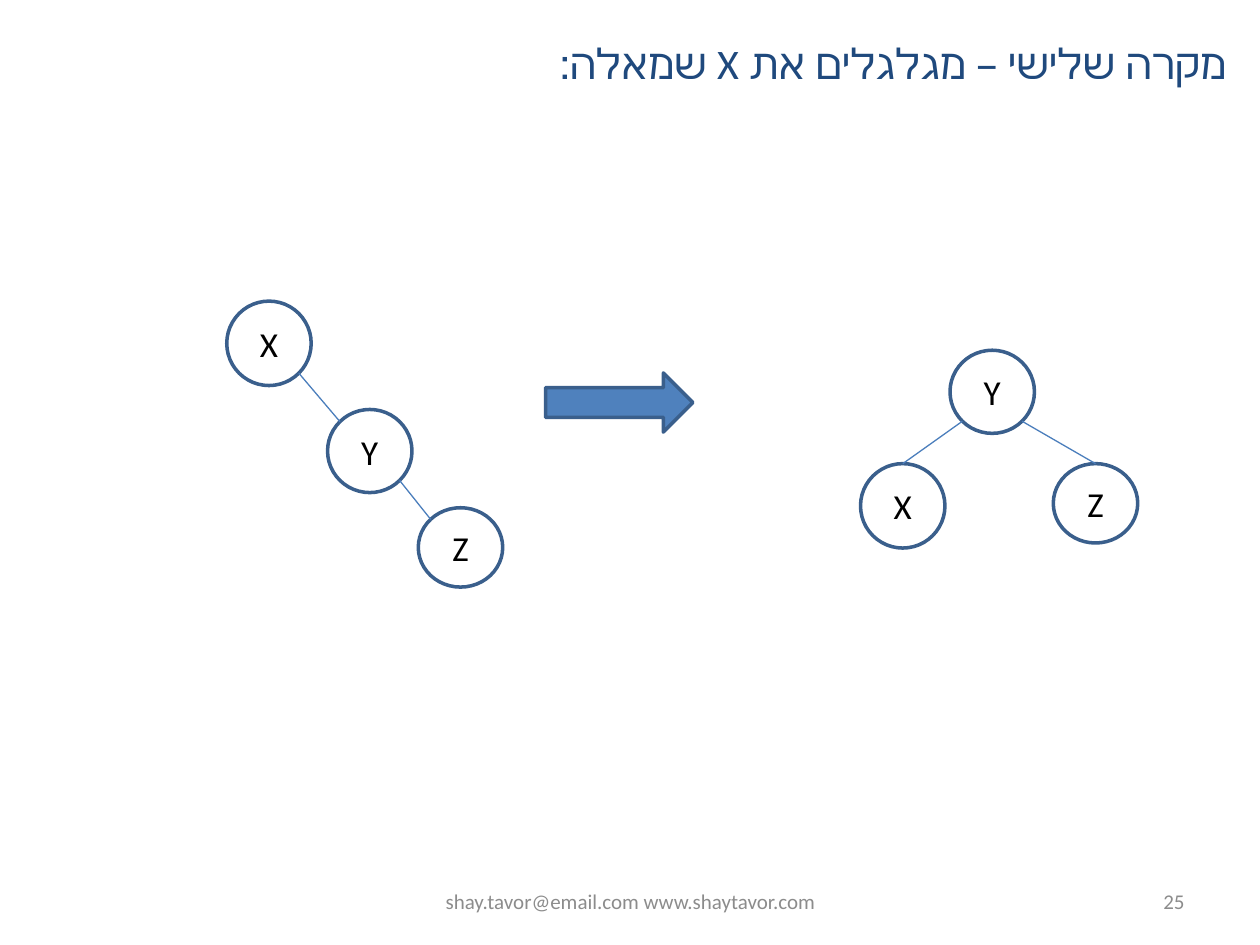
import math

import pptx
import pptx.dml.color
import pptx.enum.shapes
import pptx.enum.text
import pptx.oxml
import pptx.oxml.ns
import pptx.util
from pptx.util import Inches

COLORS = {
    "title": "1F497D",
    "footer": "8C8C8C",
    "node": "FFFFFF",
    "outline": "3A5F8C",
    "edge": "4B7EBC",
    "arrow": "4F81BD",
    "label": "000000",
}
ALIGN = pptx.enum.text.PP_ALIGN
ANCHOR = pptx.enum.text.MSO_ANCHOR
SHAPE = pptx.enum.shapes.MSO_SHAPE


def color(name):
    return pptx.dml.color.RGBColor.from_string(COLORS[name])


def diagonal(node, x_sign, y_sign):
    """Point on a node's outline at 45 degrees, in the direction of the signs."""
    reach = math.sqrt(0.5) / 2
    return (round(node.left + node.width * (0.5 + x_sign * reach)),
            round(node.top + node.height * (0.5 + y_sign * reach)))


class RotationSlide:
    font = "Calibri"

    def __init__(self, slide):
        self.slide = slide

    def set_text(self, frame, words, size, tint, align, anchor):
        frame.text = words
        frame.word_wrap = True
        frame.vertical_anchor = anchor
        paragraph = frame.paragraphs[0]
        paragraph.alignment = align
        font = paragraph.runs[0].font
        font.name = self.font
        font.size = pptx.util.Pt(size)
        font.color.rgb = color(tint)
        return paragraph

    def text(self, words, left, top, width, height, size, tint, align,
             anchor=ANCHOR.MIDDLE):
        box = self.slide.shapes.add_textbox(
            Inches(left), Inches(top), Inches(width), Inches(height))
        return self.set_text(box.text_frame, words, size, tint, align, anchor)

    def shape(self, preset, left, top, width, height, fill):
        shape = self.slide.shapes.add_shape(
            preset, Inches(left), Inches(top), Inches(width), Inches(height))
        shape.shadow.inherit = False
        if fill:
            shape.fill.solid()
            shape.fill.fore_color.rgb = color(fill)
        else:
            shape.fill.background()
        shape.line.color.rgb = color("outline")
        shape.line.width = pptx.util.Pt(2)
        return shape

    def node(self, label, left, top, height, fill="node"):
        node = self.shape(SHAPE.OVAL, left, top, 0.67, height, fill)
        self.set_text(node.text_frame, label, 20, "label", ALIGN.CENTER,
                      ANCHOR.MIDDLE)
        return node

    def edge(self, start, end):
        edge = self.slide.shapes.add_connector(
            pptx.enum.shapes.MSO_CONNECTOR.STRAIGHT, *start, *end)
        edge.line.color.rgb = color("edge")
        edge.line.width = pptx.util.Pt(0.75)
        edge._element.spPr.append(pptx.oxml.parse_xml(
            "<a:effectLst %s/>" % pptx.oxml.ns.nsdecls("a")))
        return edge


def main():
    deck = pptx.Presentation()
    deck.slide_width, deck.slide_height = Inches(10), Inches(7.5)
    page = RotationSlide(deck.slides.add_slide(deck.slide_layouts[6]))

    # Footer
    page.text("shay.tavor@email.com www.shaytavor.com", 3.42, 6.95, 3.17, 0.4,
              12, "footer", ALIGN.CENTER)
    page.text("25", 7.17, 6.95, 2.33, 0.4, 12, "footer", ALIGN.RIGHT)

    # Title, read from right to left
    title = page.text("מקרה שלישי – מגלגלים את X שמאלה:", 1.08, 0.25, 8.75, 0.5,
                      24, "title", ALIGN.RIGHT, ANCHOR.TOP)
    title._p.get_or_add_pPr().set("rtl", "1")

    # Before the rotation: a chain leaning right
    chain = [page.node("X", 1.8, 2.39, 0.67),
             page.node("Y", 2.6, 3.25, 0.66),
             page.node("Z", 3.32, 4.03, 0.63, fill=None)]
    for parent, child in zip(chain, chain[1:]):
        page.edge(diagonal(parent, 1, 1), diagonal(child, -1, -1))

    # Rotation arrow
    page.shape(SHAPE.RIGHT_ARROW, 4.33, 2.96, 1.17, 0.47, "arrow")

    # After the rotation: Y is the root
    root = page.node("Y", 7.54, 2.78, 0.66)
    children = [(page.node("X", 6.83, 3.68, 0.67), -1),
                (page.node("Z", 8.36, 3.68, 0.63, fill=None), 1)]
    for child, side in children:
        top_middle = (child.left + child.width // 2, child.top)
        edge = page.edge(diagonal(root, side, 1), top_middle)
        edge.end_connect(child, 0)

    deck.save("out.pptx")


if __name__ == "__main__":
    main()
